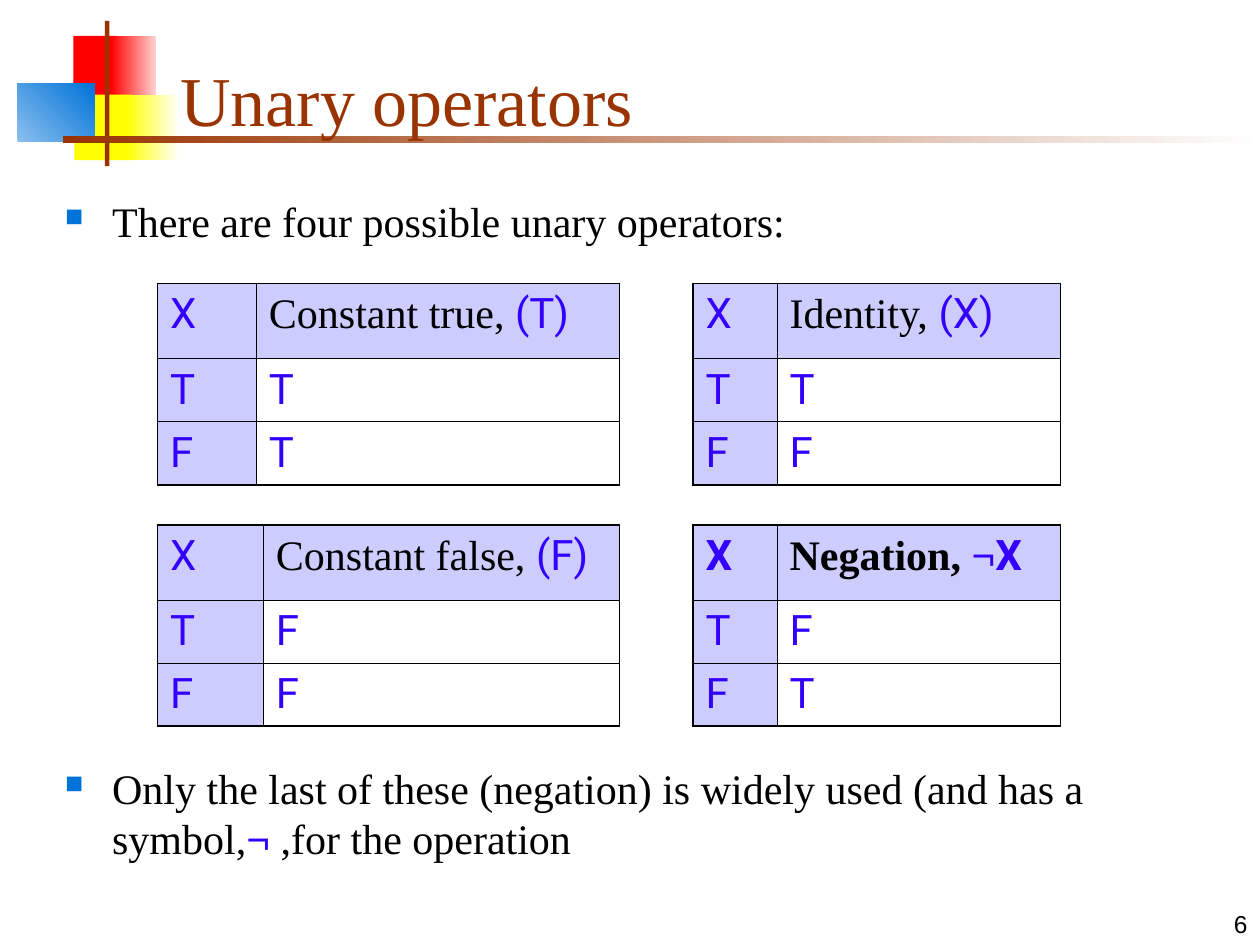
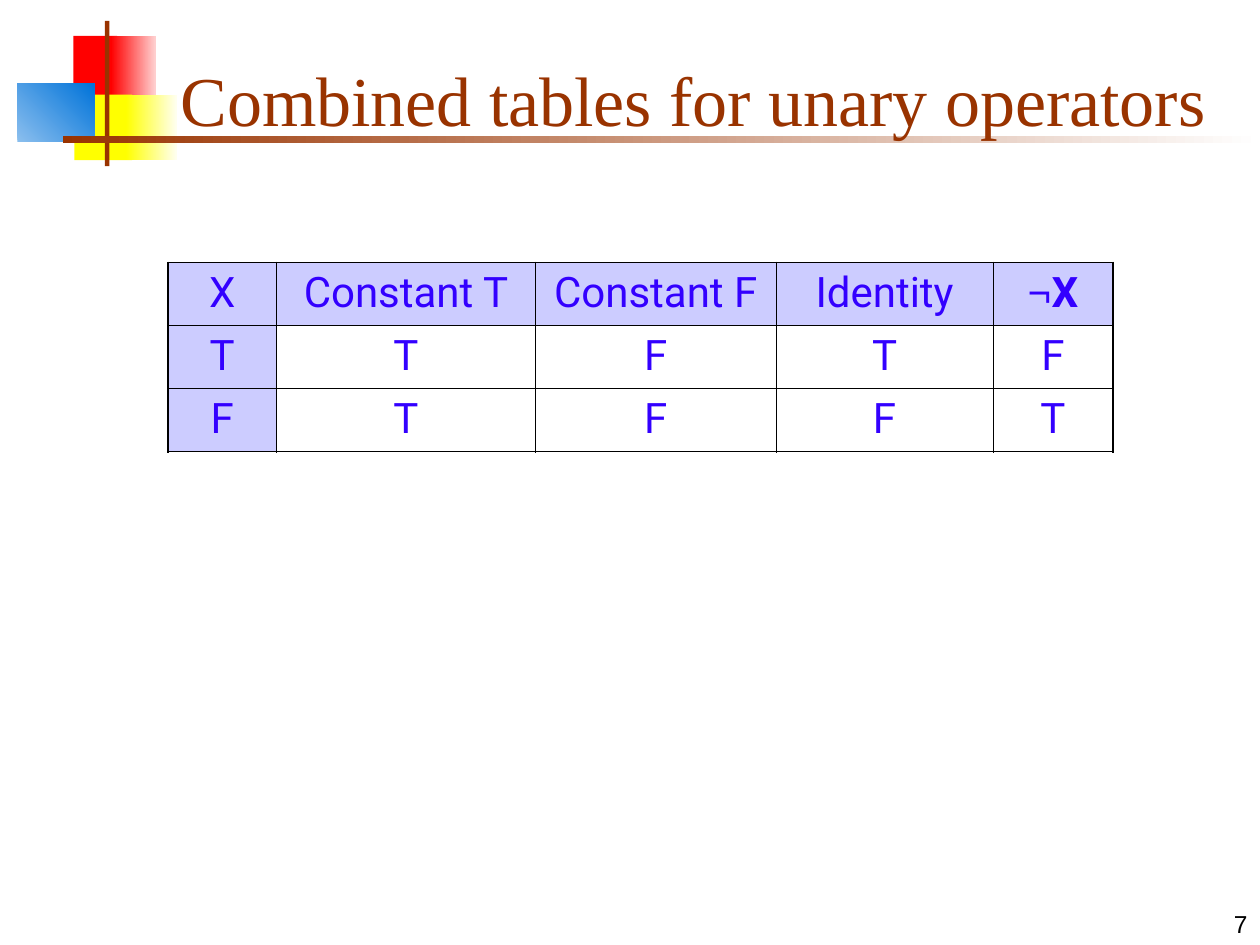
from lxml import etree
from pptx import Presentation
from pptx.dml import color
from pptx.enum import shapes, text
from pptx.oxml import ns
from pptx.util import Pt

COLORS = {
    "brown": "993300", "red": "FF0000", "pink": "FFD1D1",
    "yellow": "FFFF00", "cream": "FFFFF0", "sky": "8BBFEE",
    "blue": "0073D9", "violet": "3300FF", "lilac": "CCCCFF",
    "black": "000000", "white": "FFFFFF",
}
SERIF, SANS = "Times New Roman", "Roboto"
OUTER_LINE, INNER_LINE = 1.08, 0.45
NOT_SIGN = ("¬", {"font": SERIF, "color": "violet", "bold": True})
BOLD_X = ("X", {"bold": True})


def rgb(name):
    return color.RGBColor.from_string(COLORS[name])


# Text
def write(frame, content, font=SERIF, size=24, color="black", bold=False,
          align="LEFT", anchor="TOP", bullet=False):
    """Content is a string or a list of strings and (string, format) pairs."""
    frame.word_wrap = True
    frame.vertical_anchor = text.MSO_ANCHOR[anchor]
    paragraph = frame.paragraphs[0]
    paragraph.alignment = text.PP_ALIGN[align]
    if bullet:
        add_bullet(paragraph)
    for part in [content] if isinstance(content, str) else content:
        words, changes = (part, {}) if isinstance(part, str) else part
        style = {"font": font, "color": color, "bold": bold, **changes}
        run = paragraph.add_run()
        run.text = words
        run.font.name = style["font"]
        run.font.size = Pt(size)
        run.font.bold = style["bold"]
        run.font.color.rgb = rgb(style["color"])


def add_bullet(paragraph):
    properties = paragraph._p.get_or_add_pPr()
    properties.set("marL", str(Pt(27)))
    properties.set("indent", str(-Pt(27)))
    bullet_color = etree.SubElement(properties, ns.qn("a:buClr"))
    etree.SubElement(bullet_color, ns.qn("a:srgbClr"), val=COLORS["blue"])
    etree.SubElement(properties, ns.qn("a:buSzPct"), val="60000")
    etree.SubElement(properties, ns.qn("a:buChar"), char="■")


def add_text(slide, box, content, **style):
    shape = slide.shapes.add_textbox(*map(Pt, box))
    write(shape.text_frame, content, **style)


# Title decoration
def add_block(slide, box, start, end=None, angle=0):
    shape = slide.shapes.add_shape(shapes.MSO_SHAPE.RECTANGLE, *map(Pt, box))
    shape.shadow.inherit = False
    shape.line.fill.background()
    if end is None:
        shape.fill.solid()
        shape.fill.fore_color.rgb = rgb(start)
        return
    shape.fill.gradient()
    shape.fill.gradient_angle = angle
    for stop, name, position in zip(shape.fill.gradient_stops, (start, end), (0, 1)):
        stop.color.rgb = rgb(name)
        stop.position = position


def add_emblem(slide, left, top):
    blocks = [
        ((32, 8.5, 25, 37.5), "red"),
        ((53.5, 8.5, 25.5, 37.5), "red", "pink"),
        ((32.5, 42, 33, 37.5), "yellow"),
        ((62, 42, 29, 37.5), "yellow", "cream"),
        ((0, 35.5, 44, 33.5), "sky", "blue", 45),
        ((50, 0, 2.5, 83), "brown"),
        ((26, 65.75, 684, 4), "brown", "white"),
    ]
    for (x, y, width, height), *fill in blocks:
        add_block(slide, (left + x, top + y, width, height), *fill)


def add_titled_slide(presentation, title, number):
    slide = presentation.slides.add_slide(presentation.slide_layouts[6])
    add_emblem(slide, 10, 12)
    add_text(slide, (570, 504, 150, 36), number, font="Arial", size=14,
             align="RIGHT", anchor="BOTTOM")
    add_text(slide, (96, 18, 613.5, 66), title, size=40, color="brown",
             anchor="BOTTOM")
    return slide


# Truth tables
def set_borders(cell, widths):
    properties = cell._tc.get_or_add_tcPr()
    for index, (side, width) in enumerate(zip("LRTB", widths)):
        line = etree.Element(ns.qn("a:ln" + side), w=str(Pt(width)))
        fill = etree.SubElement(line, ns.qn("a:solidFill"))
        etree.SubElement(fill, ns.qn("a:srgbClr"), val=COLORS["black"])
        properties.insert(index, line)


def add_truth_table(slide, left, top, widths, heights, rows, align="LEFT"):
    row_count, column_count = len(rows), len(widths)
    frame = slide.shapes.add_table(row_count, column_count, Pt(left), Pt(top),
                                   Pt(sum(widths)), Pt(sum(heights)))
    table = frame.table
    table.first_row = table.horz_banding = False
    for column, width in zip(table.columns, widths):
        column.width = Pt(width)
    for row, height in zip(table.rows, heights):
        row.height = Pt(height)
    for r, values in enumerate(rows):
        for c, value in enumerate(values):
            cell = table.cell(r, c)
            write(cell.text_frame, value, font=SANS, color="violet", align=align)
            if r == 0 or c == 0:
                cell.fill.solid()
                cell.fill.fore_color.rgb = rgb("lilac")
            else:
                cell.fill.background()
            on_edge = (c == 0, c == column_count - 1, r == 0, r == row_count - 1)
            set_borders(cell, [OUTER_LINE if edge else INNER_LINE for edge in on_edge])


def add_operator_grid(slide, left, top):
    column_step, row_step = 306, 138

    def label(words, bold=False):
        return words, {"font": SERIF, "color": "black", "bold": bold}

    operators = [
        ("X", [label("Constant true, "), "(T)"], "TT", (56.5, 207.5)),
        ("X", [label("Identity, "), "(X)"], "TF", (48, 162)),
        ("X", [label("Constant false, "), "(F)"], "FF", (60.5, 203.5)),
        ([BOLD_X], [label("Negation, ", True), NOT_SIGN, BOLD_X], "FT", (48, 162)),
    ]
    for index, (variable, name, results, widths) in enumerate(operators):
        row, column = divmod(index, 2)
        rows = [(variable, name), *zip("TF", results)]
        add_truth_table(slide, left + column * column_step, top + row * row_step,
                        widths, (43, 36, 36), rows)


# Slides
def add_operators_slide(presentation):
    slide = add_titled_slide(presentation, "Unary operators", "6")
    add_text(slide, (30, 108, 660, 114),
             "There are four possible unary operators:", bullet=True)
    add_operator_grid(slide, 90, 162)
    add_text(slide, (30, 432, 642, 72),
             ["Only the last of these (negation) is widely used (and has a symbol,",
              NOT_SIGN, " ,for the operation"], bullet=True)


def add_combined_slide(presentation):
    slide = add_titled_slide(presentation, "Combined tables for unary operators", "7")
    rows = [("X", "Constant T", "Constant F", "Identity", [NOT_SIGN, BOLD_X]),
            "TTFTF", "FTFFT"]
    add_truth_table(slide, 96, 150, (62, 148, 137.5, 124, 68.5), (36, 36, 36),
                    rows, align="CENTER")


def main():
    presentation = Presentation()
    presentation.slide_width, presentation.slide_height = Pt(720), Pt(540)
    add_operators_slide(presentation)
    add_combined_slide(presentation)
    presentation.save("out.pptx")


if __name__ == "__main__":
    main()
